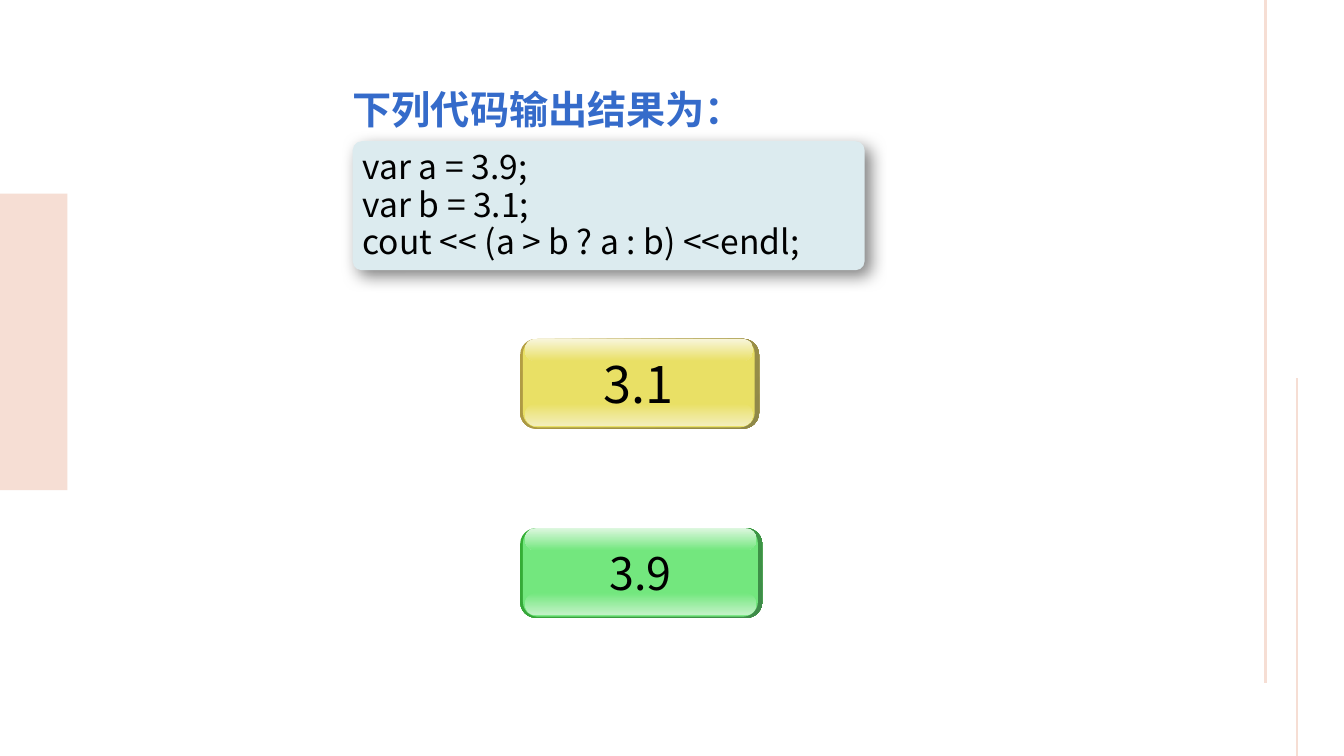
from lxml import etree
from pptx import Presentation
from pptx.dml.color import RGBColor
from pptx.enum.shapes import MSO_CONNECTOR, MSO_SHAPE
from pptx.enum.text import MSO_ANCHOR, PP_ALIGN
from pptx.oxml import parse_xml
from pptx.oxml.ns import nsdecls, qn
from pptx.util import Cm, Pt

RECTANGLE = MSO_SHAPE.RECTANGLE
ROUNDED = MSO_SHAPE.ROUNDED_RECTANGLE
STRAIGHT = MSO_CONNECTOR.STRAIGHT
CENTER = PP_ALIGN.CENTER
MIDDLE = MSO_ANCHOR.MIDDLE

FONT = "Noto Sans CJK SC"
COLORS = {
    "blush": "F6DED4",
    "panel": "DCEBEF",
    "title": "356BCA",
    "text": "000000",
    "yellow": "E9E065",
    "yellow edge start": "B59F43",
    "yellow edge end": "8F8849",
    "yellow top": "F8F5DB",
    "yellow bottom": "F3EEBB",
    "green": "73E77E",
    "green edge start": "34B034",
    "green edge end": "3F8B4A",
    "green top": "DDF7DF",
    "green bottom": "C3F2C7",
}


def add_block(kind, left, top, width, height, colors, angle=270, corner=None):
    """Add an unlined shape; two colour names make a gradient, one a solid fill."""
    block = page.shapes.add_shape(kind, Cm(left), Cm(top), Cm(width), Cm(height))
    block.shadow.inherit = False
    block.line.fill.background()
    if corner is not None:
        block.adjustments[0] = corner
    if len(colors) == 1:
        block.fill.solid()
        block.fill.fore_color.rgb = RGBColor.from_string(COLORS[colors[0]])
    else:
        block.fill.gradient()
        block.fill.gradient_angle = angle
        for position, (stop, name) in enumerate(zip(block.fill.gradient_stops, colors)):
            stop.position = position
            stop.color.rgb = RGBColor.from_string(COLORS[name])
    return block


def style_text(paragraph, size, color, bold=False):
    font = paragraph.font
    font.size = Pt(size)
    font.bold = bold
    font.name = FONT
    font.color.rgb = RGBColor.from_string(COLORS[color])
    properties = paragraph._p.pPr.find(qn("a:defRPr"))
    etree.SubElement(properties, qn("a:ea")).set("typeface", FONT)


deck = Presentation()
deck.slide_width = Cm(33.87)
deck.slide_height = Cm(19.05)
page = deck.slides.add_slide(deck.slide_layouts[6])

# Side decoration
add_block(RECTANGLE, 0, 4.88, 1.7, 7.47, ["blush"])
for x, bottom, top, weight in [(31.9, 17.2, 0, 2.25), (32.69, 19.05, 9.53, 1.5)]:
    rule = page.shapes.add_connector(STRAIGHT, Cm(x), Cm(bottom), Cm(x), Cm(top))
    rule.line.color.rgb = RGBColor.from_string(COLORS["blush"])
    rule.line.width = Pt(weight)
    etree.SubElement(rule._element.spPr, qn("a:effectLst"))

# Code panel with its shadow
panel = add_block(ROUNDED, 8.89, 3.56, 12.9, 3.25, ["panel"], corner=0.07)
panel._element.spPr.find(qn("a:effectLst")).append(parse_xml(
    f'<a:outerShdw {nsdecls("a")} blurRad="{Pt(12)}" dist="{Pt(6)}" dir="2700000" '
    'algn="tl" rotWithShape="0"><a:srgbClr val="000000"><a:alpha val="50000"/>'
    '</a:srgbClr></a:outerShdw>'
))

code_box = page.shapes.add_textbox(Cm(8.89), Cm(3.61), Cm(12.9), Cm(3.15))
code_box.text_frame.word_wrap = True
code_box.text_frame.text = "var a = 3.9;\nvar b = 3.1;\ncout << (a > b ? a : b) <<endl;"
for paragraph in code_box.text_frame.paragraphs:
    paragraph.line_spacing = Pt(27)
    style_text(paragraph, 24, "text")

title_box = page.shapes.add_textbox(Cm(8.64), Cm(2.03), Cm(10.11), Cm(1.45))
title_box.text_frame.word_wrap = True
title_box.text_frame.text = "下列代码输出结果为："
style_text(title_box.text_frame.paragraphs[0], 28, "title", bold=True)

# Answer buttons: edge, face, then a sheen along the bottom and the top
LEFT = 13.11
for answer, hue, top, width, size in [
    ("3.9", "green", 13.31, 6.1, 32),
    ("3.1", "yellow", 8.54, 6.02, 36),
]:
    add_block(ROUNDED, LEFT, top, width, 2.26,
              [f"{hue} edge start", f"{hue} edge end"], angle=315, corner=0.175)
    face = add_block(ROUNDED, LEFT + 0.07, top, width - 0.18, 2.23, [hue], corner=0.167)
    face.text_frame.word_wrap = False
    face.text_frame.vertical_anchor = MIDDLE
    face.text_frame.text = answer
    label = face.text_frame.paragraphs[0]
    label.alignment = CENTER
    style_text(label, size, "text")
    for offset, colors in [(1.63, [hue, f"{hue} bottom"]), (0, [f"{hue} top", hue])]:
        add_block(ROUNDED, LEFT + 0.12, top + offset, width - 0.27, 0.56,
                  colors, corner=0.5)

deck.save("out.pptx")
